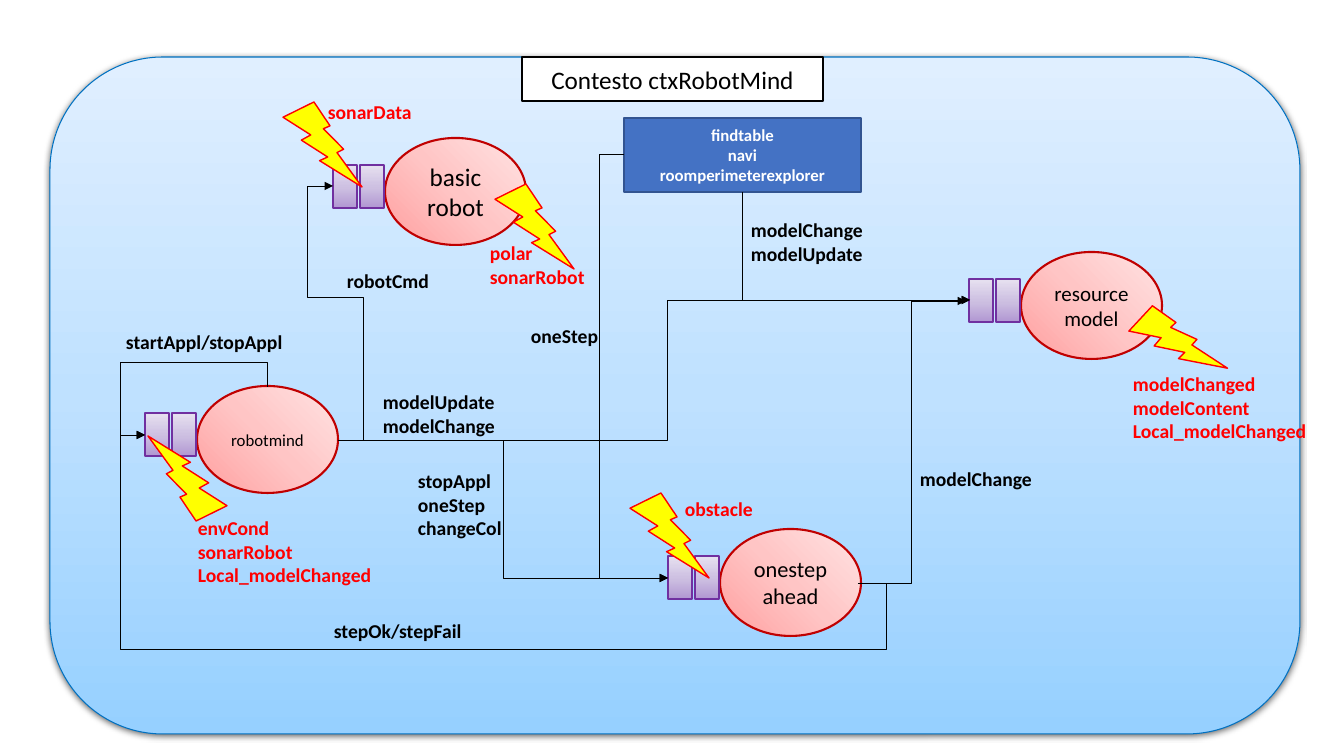
from lxml import etree
from pptx import Presentation
from pptx import util as u
from pptx.dml.color import RGBColor
from pptx.enum import shapes, text
from pptx.oxml import ns

PX = 12192000 / 1344  # EMU per pixel
BLACK, WHITE, RED, YELLOW = "000000", "FFFFFF", "FF0000", "FFFF00"
PANEL_BLUE = ("96D0FF", "BFE1FF", "E0EFFF")
QUEUE_PURPLE = ("B197D2", "CEC1E2", "E7E1F0")
ACTOR_RED = ("FFA0A0", "FFC5C5", "FFE3E3")
LINEAR = '<a:lin ang="16200000" scaled="0"/>'
CORNER = '<a:path path="circle"><a:fillToRect t="100000" r="100000"/></a:path>'
XMLNS = ns.nsdecls("a")
KIND = shapes.MSO_SHAPE
CENTRE = text.PP_ALIGN.CENTER

deck = Presentation()
deck.slide_width, deck.slide_height = u.Emu(12192000), u.Emu(6858000)
page = deck.slides.add_slide(deck.slide_layouts[6])


def draw(owner, kind, place, fill, line, width, blend=LINEAR):
    """Add a preset shape; a tuple of colours gives a gradient fill."""
    shape = owner.add_shape(kind, *[round(v * PX) for v in place])
    shape.shadow.inherit = False
    if isinstance(fill, tuple):
        shape.fill.background()
        stops = "".join(
            f'<a:gs pos="{n * 50000}"><a:srgbClr val="{colour}"/></a:gs>'
            for n, colour in enumerate(fill))
        gradient = etree.fromstring(
            f"<a:gradFill {XMLNS}><a:gsLst>{stops}</a:gsLst>{blend}</a:gradFill>")
        properties = shape._element.spPr
        properties.replace(properties.find(ns.qn("a:noFill")), gradient)
    else:
        shape.fill.solid()
        shape.fill.fore_color.rgb = RGBColor.from_string(fill)
    shape.line.color.rgb = RGBColor.from_string(line)
    shape.line.width = u.Pt(width)
    return shape


def write(box, lines, size, colour, bold=False, align=None):
    frame = box.text_frame
    frame.word_wrap = True
    for n, words in enumerate(lines):
        para = frame.add_paragraph() if n else frame.paragraphs[0]
        para.text = words
        para.alignment = align
        for span in para.runs:
            for name, value in dict(name="Calibri", size=u.Pt(size), bold=bold).items():
                setattr(span.font, name, value)
            span.font.color.rgb = RGBColor.from_string(colour)


# Context panel with its soft shadow, and the title
panel = draw(page.shapes, KIND.ROUNDED_RECTANGLE, (50, 57, 1250, 677),
             PANEL_BLUE, "0070C0", 0.75)
panel._element.spPr.find(ns.qn("a:effectLst")).append(etree.fromstring(
    f'<a:outerShdw {XMLNS} blurRad="57150" dist="19050" dir="5400000" rotWithShape="0">'
    '<a:srgbClr val="000000"><a:alpha val="63000"/></a:srgbClr></a:outerShdw>'))
title = draw(page.shapes, KIND.RECTANGLE, (522, 57, 301, 44), WHITE, BLACK, 1)
write(title, ["Contesto ctxRobotMind"], 18, BLACK, align=CENTRE)

# Actors: an ellipse with two queue cells on its left
actors = [
    ("basic robot", 18, 333, 165),
    ("resource model", 15, 969, 279),
    ("onestep\vahead", 16, 668, 556),
    ("robotmind", 12, 145, 413),
]
for name, size, left, top in actors:
    group = page.shapes.add_group_shape().shapes
    actor = draw(group, KIND.OVAL, (left + 52, top - 27, 141, 107),
                 ACTOR_RED, "C00000", 1.5, CORNER)
    write(actor, [name], size, BLACK, align=CENTRE)
    for offset in (27, 0):
        draw(group, KIND.RECTANGLE, (left + offset, top, 24, 43),
             QUEUE_PURPLE, "7030A0", 1.5)

# Helper components
helpers = draw(page.shapes, KIND.RECTANGLE, (624, 118, 237, 74), "4472C4", "325491", 1)
write(helpers, ["findtable", "navi", "roomperimeterexplorer"], 12, WHITE, True, CENTRE)

# Message arrows: begin, end, bend coordinates on alternating axes, first axis
arrows = [
    ((338, 440), (333, 186), (363, 297, 307), 0),
    ((742, 192), (970, 300), (), 1),
    ((338, 440), (970, 300), (668,), 0),
    ((338, 440), (668, 578), (503,), 0),
    ((267, 387), (145, 435), (362, 120), 1),
    ((861, 583), (145, 435), (886, 649, 120), 0),
    ((858, 583), (966, 301), (911,), 0),
    ((624, 154), (668, 578), (599,), 0),
]
for begin, end, bends, axis in arrows:
    ends = [begin, end]
    if axis:  # leaves vertically: lay it out a quarter turn away
        mid_x, mid_y = (begin[0] + end[0]) / 2, (begin[1] + end[1]) / 2
        ends = [(mid_x - (y - mid_y), mid_y + (x - mid_x)) for x, y in ends]
    arrow = page.shapes.add_connector(
        shapes.MSO_CONNECTOR.ELBOW, *[round(v * PX) for point in ends for v in point])
    arrow.line.color.rgb = RGBColor.from_string(BLACK)
    arrow.line.width = u.Pt(0.5)
    properties = arrow._element.spPr
    if axis:
        properties.find(ns.qn("a:xfrm")).set("rot", "16200000")
    geometry = properties.find(ns.qn("a:prstGeom"))
    geometry.set("prst", f"bentConnector{len(bends) + 2}")
    guides = geometry.find(ns.qn("a:avLst"))
    for n, bend in enumerate(bends):
        side = (axis + n) % 2
        share = (bend - begin[side]) / (end[side] - begin[side])
        etree.SubElement(guides, ns.qn("a:gd"), name=f"adj{n + 1}",
                         fmla=f"val {round(share * 100000)}")
    etree.SubElement(properties.find(ns.qn("a:ln")), ns.qn("a:tailEnd"), type="triangle")
    etree.SubElement(properties, ns.qn("a:effectLst"))

# Event bolts: left, top, rotation
bolts = [(1136, 300, 339.2), (630, 493, 0), (148, 436, 180), (283, 102, 0), (495, 184, 0)]
for left, top, turn in bolts:
    bolt = draw(page.shapes, KIND.LIGHTNING_BOLT, (left, top, 79, 85), YELLOW, RED, 1)
    bolt.rotation = turn

# Message labels in black, event labels in red
labels = [
    (337, 264, 112, BLACK, ["robotCmd"]),
    (373, 385, 197, BLACK, ["modelUpdate", "modelChange"]),
    (741, 213, 197, BLACK, ["modelChange", "modelUpdate"]),
    (408, 464, 123, BLACK, ["stopAppl", "oneStep", "changeCol"]),
    (116, 325, 197, BLACK, ["startAppl/stopAppl"]),
    (324, 614, 197, BLACK, ["stepOk/stepFail"]),
    (910, 462, 197, BLACK, ["modelChange"]),
    (521, 319, 88, BLACK, ["oneStep"]),
    (1123, 367, 197, RED, ["modelChanged", "modelContent", "Local_modelChanged"]),
    (675, 492, 197, RED, ["obstacle"]),
    (188, 511, 197, RED, ["envCond", "sonarRobot", "Local_modelChanged"]),
    (318, 95, 197, RED, ["sonarData"]),
    (480, 236, 122, RED, ["polar", "sonarRobot"]),
]
for left, top, width, colour, lines in labels:
    height = 10 + 24 * len(lines)
    box = page.shapes.add_textbox(*[round(v * PX) for v in (left, top, width, height)])
    write(box, lines, 14, colour, True)

deck.save("out.pptx")
